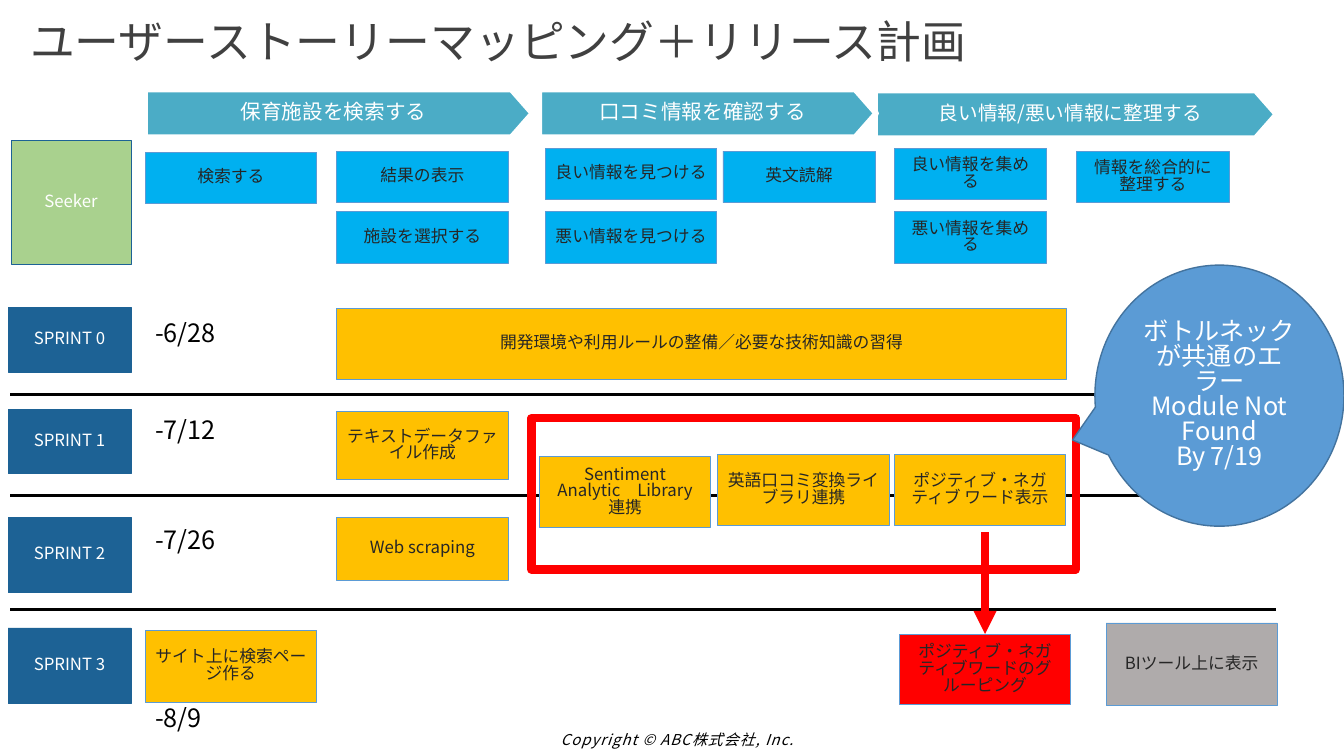
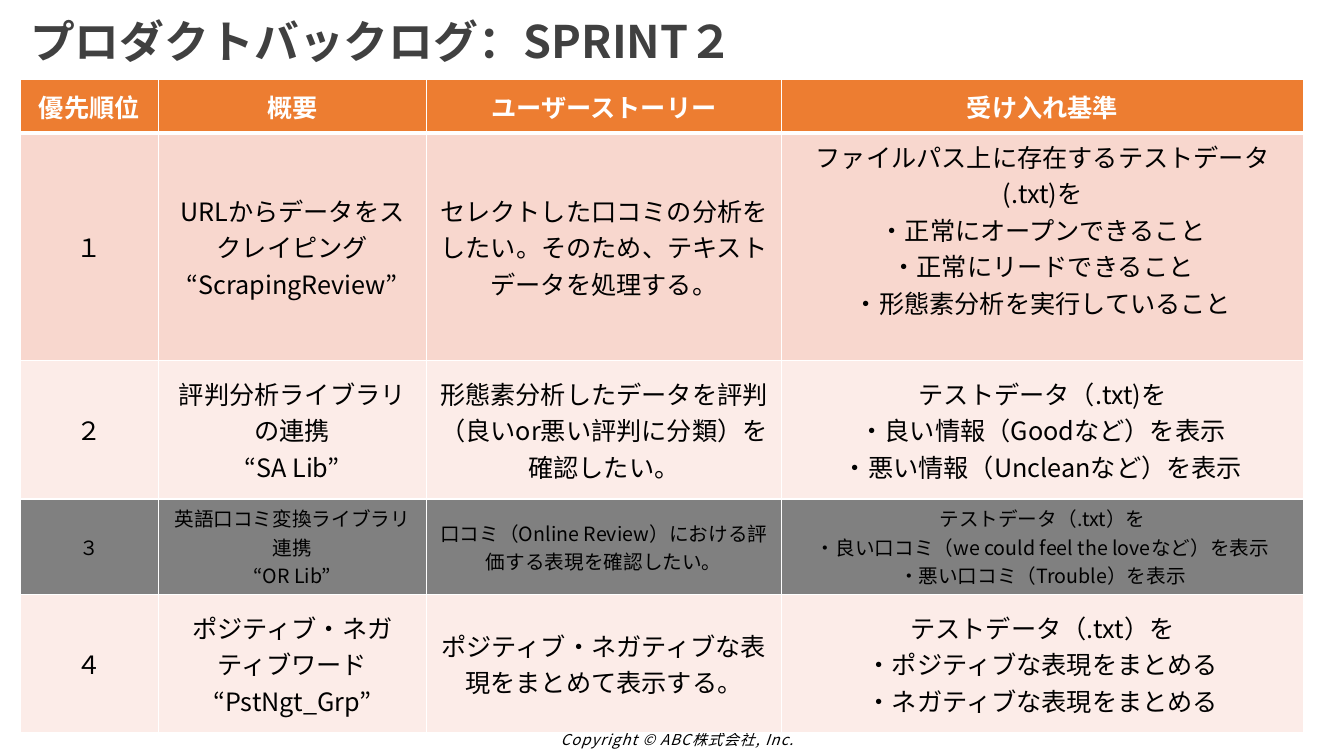
from lxml import etree
from pptx import Presentation
from pptx.dml.color import RGBColor
from pptx.enum.shapes import MSO_CONNECTOR, MSO_SHAPE
from pptx.enum.text import MSO_ANCHOR, PP_ALIGN
from pptx.oxml.ns import qn
from pptx.util import Inches, Pt

WIDE, HIGH = 13.33, 7.5
FONT = "Noto Sans CJK JP"
LEFT, MID = PP_ALIGN.LEFT, PP_ALIGN.CENTER
CENTRE = MSO_ANCHOR.MIDDLE
RECT, ARROW = MSO_SHAPE.RECTANGLE, MSO_SHAPE.PENTAGON
BUBBLE = MSO_SHAPE.OVAL_CALLOUT
LINE = MSO_CONNECTOR.STRAIGHT

WHITE, BLACK, INK, GREY = "FFFFFF", "000000", "262626", "404040"
NAVY, TEAL, GREEN, SKY = "1D6295", "4BACC6", "A9D18E", "00B0F0"
GOLD, RED, STONE, EDGE = "FFC000", "FF0000", "AFABAB", "5B9BD5"
ORANGE, ROSE, PALE, DIM = "ED7D31", "F8D7CE", "FCECE8", "808080"

STORY_COLS = (1.44, 3.34, 5.41, 7.17, 8.87, 10.68)
TASK_COLS = (1.44, 3.34, 5.35, 7.12, 8.87, 10.97)
CARD = 1.7
SLIM = 1.51

# text, left, top, width, size
STEPS = (
    ("良い情報/悪い情報に整理する", 8.68, 0.9, 3.98, 14),
    ("口コミ情報を確認する", 5.35, 0.89, 3.34, 14.7),
    ("保育施設を検索する", 1.44, 0.89, 3.84, 14.7),
)
# text, column, top, width
STORIES = (
    ("検索する", 0, 1.51, CARD),
    ("結果の表示", 1, 1.5, CARD),
    ("施設を選択する", 1, 2.1, CARD),
    ("良い情報を見つける", 2, 1.47, CARD),
    ("悪い情報を見つける", 2, 2.1, CARD),
    ("英文読解", 3, 1.5, SLIM),
    ("良い情報を集める", 4, 1.47, SLIM),
    ("悪い情報を集める", 4, 2.1, SLIM),
    ("情報を総合的に整理する", 5, 1.5, SLIM),
)
# text, column, top, width, height, fill
TASKS = (
    ("開発環境や利用ルールの整備／必要な技術知識の習得", 1, 3.06, 7.24, 0.7, GOLD),
    ("テキストデータファイル作成", 1, 4.08, CARD, 0.68, GOLD),
    ("Web scraping", 1, 5.13, CARD, 0.63, GOLD),
    ("Sentiment Analytic　Library連携", 2, 4.53, CARD, 0.7, GOLD),
    ("英語口コミ変換ライブラリ連携", 3, 4.51, CARD, 0.7, GOLD),
    ("ポジティブ・ネガティブ ワード表示", 4, 4.51, CARD, 0.7, GOLD),
    ("サイト上に検索ページ作る", 0, 6.25, CARD, 0.72, GOLD),
    ("BIツール上に表示", 5, 6.18, CARD, 0.82, STONE),
)
# top, height, date, top of date
SPRINTS = (
    (3.05, 0.64, "-6/28", 3.15),
    (4.06, 0.64, "-7/12", 4.11),
    (5.13, 0.75, "-7/26", 5.2),
    (6.23, 0.75, "-8/9", 6.97),
)
RULES = (3.91, 4.92, 6.05)

TABLE_COLS = (1.37, 2.66, 3.52, 5.18)
# height, fill, text size, cells
BACKLOG = (
    (0.53, ORANGE, 18, ("優先順位", "概要", "ユーザーストーリー", "受け入れ基準")),
    (2.26, ROSE, 18, (
        "１",
        "URLからデータをスクレイピング\n“ScrapingReview”",
        "セレクトした口コミの分析をしたい。そのため、テキストデータを処理する。",
        "ファイルパス上に存在するテストデータ(.txt)を\n・正常にオープンできること\n"
        "・正常にリードできること\n・形態素分析を実行していること")),
    (1.37, PALE, 18, (
        "２",
        "評判分析ライブラリの連携\n“SA Lib”",
        "形態素分析したデータを評判（良いor悪い評判に分類）を確認したい。",
        "テストデータ（.txt)を\n・良い情報（Goodなど）を表示\n"
        "・悪い情報（Uncleanなど）を表示")),
    (0.95, DIM, 14, (
        "３",
        "英語口コミ変換ライブラリ連携\n“OR Lib”",
        "口コミ（Online Review）における評価する表現を確認したい。",
        "テストデータ（.txt）を\n・良い口コミ（we could feel the loveなど）を表示\n"
        "・悪い口コミ（Trouble）を表示")),
    (1.37, PALE, 18, (
        "４",
        "ポジティブ・ネガティブワード\n“PstNgt_Grp”",
        "ポジティブ・ネガティブな表現をまとめて表示する。",
        "テストデータ（.txt）を\n・ポジティブな表現をまとめる\n"
        "・ネガティブな表現をまとめる")),
)


def rgb(code):
    return RGBColor.from_string(code)


def inch(*nums):
    return [Inches(n) for n in nums]


def write(frame, text, size=12, color=INK, align=MID, bold=False,
          slant=False, lead=0.83, track=0):
    """Fill a text frame, one paragraph for each line of text."""
    frame.word_wrap = True
    for i, words in enumerate(text.split("\n")):
        para = frame.add_paragraph() if i else frame.paragraphs[0]
        para.alignment, para.line_spacing = align, lead
        run = para.add_run()
        run.text = words
        font = run.font
        font.size, font.bold, font.italic = Pt(size), bold, slant
        font.color.rgb, font.name = rgb(color), FONT
        props = run.font._element
        etree.SubElement(props, qn("a:ea")).set("typeface", FONT)
        if track:
            props.set("spc", str(track))


def label(slide, text, box, anchor=MSO_ANCHOR.TOP, **style):
    frame = slide.shapes.add_textbox(*inch(*box)).text_frame
    frame.vertical_anchor = anchor
    write(frame, text, **style)


def block(slide, kind, box, text="", fill=None, edge=EDGE, weight=0.5,
          adjust=(), pad=0.1, **style):
    shape = slide.shapes.add_shape(kind, *inch(*box))
    shape.shadow.inherit = False
    for i, value in enumerate(adjust):
        shape.adjustments[i] = value
    if fill:
        shape.fill.solid()
        shape.fill.fore_color.rgb = rgb(fill)
    else:
        shape.fill.background()
    shape.line.color.rgb, shape.line.width = rgb(edge), Pt(weight)
    if text:
        frame = shape.text_frame
        frame.vertical_anchor = CENTRE
        frame.margin_left = frame.margin_right = Inches(pad)
        write(frame, text, **style)
    return shape


def rule(slide, x1, y1, x2, y2, color=BLACK, weight=2):
    line = slide.shapes.add_connector(LINE, *inch(x1, y1, x2, y2))
    line.line.color.rgb, line.line.width = rgb(color), Pt(weight)
    etree.SubElement(line._element.spPr, qn("a:effectLst"))
    return line


def tag(slide, text, box, fill=NAVY):
    block(slide, ARROW, box, text, fill, NAVY, adjust=(0,), pad=0, color=WHITE)


def start(deck, title, bold=False):
    """Add a slide with the shared title and footer."""
    slide = deck.slides.add_slide(deck.slide_layouts[6])
    label(slide, title, (0.2, 0.15, 12.29, 0.6), CENTRE,
          size=32, color=GREY, align=LEFT, bold=bold)
    label(slide, "Copyright © ABC株式会社, Inc.", (4.81, 7.23, 3.81, 0.28),
          size=10.7, color=BLACK, slant=True, track=70)
    return slide


def plan(deck):
    slide = start(deck, "ユーザーストーリーマッピング＋リリース計画")
    for text, left, top, width, size in STEPS:
        block(slide, ARROW, (left, top, width, 0.47), text, TEAL, WHITE, 4,
              (0.44,), size=size, color=WHITE)
    tag(slide, "Seeker", (0.11, 1.39, 1.19, 1.23), GREEN)
    for text, col, top, width in STORIES:
        block(slide, RECT, (STORY_COLS[col], top, width, 0.51), text, SKY)
    for y in RULES:
        rule(slide, 0.1, y, 12.66, y)
    for i, (top, height, date, date_top) in enumerate(SPRINTS):
        tag(slide, f"SPRINT {i}", (0.08, top, 1.22, height))
        label(slide, date, (1.44, date_top, 1.35, 0.4),
              size=18, color=BLACK, align=LEFT)
    block(slide, RECT, (5.27, 4.15, 5.4, 1.5), edge=RED, weight=6)
    for text, col, top, width, height, fill in TASKS:
        block(slide, RECT, (TASK_COLS[col], top, width, height), text, fill)
    late = block(slide, RECT, (8.92, 6.29, CARD, 0.7),
                 "ポジティブ・ネガティブワードのグルーピング", RED)
    move = rule(slide, 9.77, 5.28, 9.77, 6.29, RED, 5.5)
    move.end_connect(late, 0)
    etree.SubElement(move.line._get_or_add_ln(), qn("a:tailEnd")).set("type", "triangle")
    block(slide, BUBBLE, (10.86, 2.63, 2.47, 2.59),
          "ボトルネックが共通のエラー\nModule Not Found\nBy 7/19",
          EDGE, "43739E", 1, (-0.59, 0.17), size=18, color=WHITE)


def border(cell, base):
    """Draw white lines round a cell; base is the weight of the lower one."""
    props = cell._tc.get_or_add_tcPr()
    for side, weight in (("L", 1), ("R", 1), ("T", 1), ("B", base)):
        line = etree.SubElement(props, qn("a:ln" + side), w=str(Pt(weight)))
        fill = etree.SubElement(line, qn("a:solidFill"))
        etree.SubElement(fill, qn("a:srgbClr"), val=WHITE)


def backlog(deck):
    slide = start(deck, "プロダクトバックログ：SPRINT２", bold=True)
    high = sum(row[0] for row in BACKLOG)
    table = slide.shapes.add_table(
        len(BACKLOG), len(TABLE_COLS),
        *inch(0.2, 0.79, sum(TABLE_COLS), high)).table
    for col, width in zip(table.columns, TABLE_COLS):
        col.width = Inches(width)
    for r, (height, fill, size, texts) in enumerate(BACKLOG):
        head = r == 0
        table.rows[r].height = Inches(height)
        for c, text in enumerate(texts):
            cell = table.cell(r, c)
            border(cell, 3 if head else 1)
            cell.fill.solid()
            cell.fill.fore_color.rgb = rgb(fill)
            cell.vertical_anchor = CENTRE
            write(cell.text_frame, text, size=size, lead=1.0, bold=head,
                  color=WHITE if head else BLACK)
    table.cell(1, 3).margin_bottom = Inches(0.41)


def main():
    deck = Presentation()
    deck.slide_width, deck.slide_height = inch(WIDE, HIGH)
    plan(deck)
    backlog(deck)
    deck.save("out.pptx")


if __name__ == "__main__":
    main()
